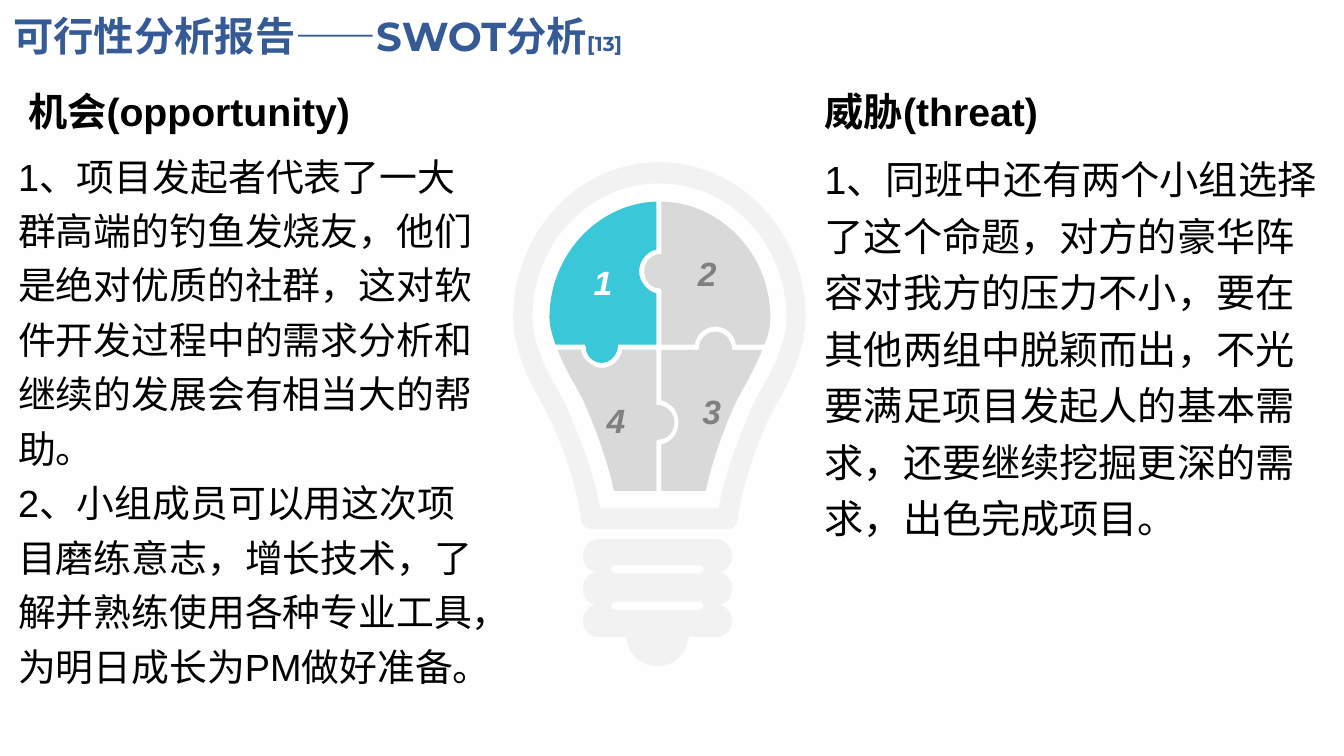
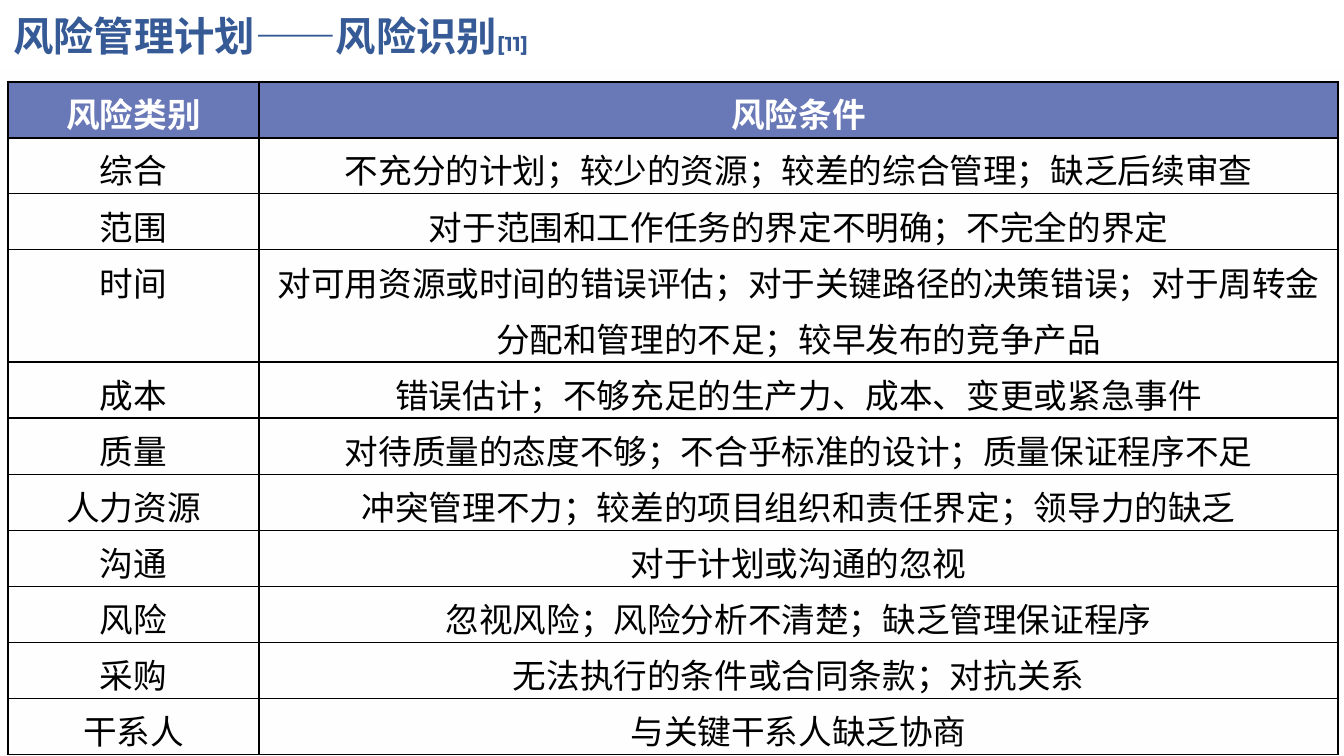
from lxml.etree import SubElement
from pptx import Presentation
from pptx.dml.color import RGBColor
from pptx.enum.lang import MSO_LANGUAGE_ID
from pptx.enum.shapes import MSO_SHAPE
from pptx.enum.text import MSO_ANCHOR, MSO_AUTO_SIZE, PP_ALIGN
from pptx.oxml.ns import qn
from pptx.util import Pt

PX = 9144
NAVY = RGBColor(0x36, 0x5A, 0x96)
HEADER = RGBColor(0x69, 0x78, 0xB7)
CYAN = RGBColor(0x3A, 0xC8, 0xD9)
BULB_GRAY = RGBColor(0xF2, 0xF2, 0xF2)
PIECE_GRAY = RGBColor(0xD9, 0xD9, 0xD9)
DIGIT_GRAY = RGBColor(0x80, 0x80, 0x80)
BLACK = RGBColor(0, 0, 0)
WHITE = RGBColor(0xFF, 0xFF, 0xFF)
CJK = "Noto Sans CJK SC"
COMPARISON, TITLE_ONLY = 4, 5


def write(p, text, size=24, font="Arial", color=BLACK, bold=False, italic=False):
    r = p.add_run()
    r.text = text
    r.font.size = Pt(size)
    r.font.bold = bold
    r.font.italic = italic
    r.font.color.rgb = color
    r.font.name = font
    r.font.language_id = MSO_LANGUAGE_ID.SIMPLIFIED_CHINESE
    SubElement(r._r.get_or_add_rPr(), qn("a:ea")).set("typeface", CJK)


def symmetric(start, segments):
    axis = start[0]
    ends = [start] + [segment[-2:] for segment in segments]
    x, y = ends[-1]
    mirrored = [] if x == axis else [(2 * axis - x, y)]
    for segment, (x, y) in zip(reversed(segments), reversed(ends[:-1])):
        back = (2 * axis - x, y)
        if len(segment) == 6:
            x1, y1, x2, y2 = segment[:4]
            back = (2 * axis - x2, y2, 2 * axis - x1, y1) + back
        mirrored.append(back)
    return start, segments + mirrored


class Deck:
    def __init__(self):
        self.prs = Presentation()
        self.prs.slide_width = 1333 * PX
        self.prs.slide_height = 750 * PX
        self.s = None

    def backdrop(self):
        sp = self.s.shapes.add_shape(MSO_SHAPE.RECTANGLE, 0, 69 * PX, 1333 * PX, 681 * PX)
        sp.shadow.inherit = False
        sp.line.fill.background()
        sp.fill.gradient()
        sp.fill.gradient_angle = 90
        for stop in sp.fill.gradient_stops:
            stop.color.rgb = WHITE
        last = sp._element.findall(f".//{qn('a:gs')}")[-1]
        SubElement(last.find(qn("a:srgbClr")), qn("a:alpha")).set("val", "84000")
        self.prs.slide_master.shapes._spTree.insert(2, sp._element)

    def place(self, sp, left, top, width, height, anchor):
        sp.left, sp.top = left * PX, top * PX
        sp.width, sp.height = width * PX, height * PX
        tf = sp.text_frame
        tf.word_wrap = True
        tf.auto_size = MSO_AUTO_SIZE.NONE
        tf.vertical_anchor = anchor
        return tf

    def slide(self, layout, title, reference):
        self.s = self.prs.slides.add_slide(self.prs.slide_layouts[layout])
        tf = self.place(self.s.shapes.title, 3, 10, 1150, 57, MSO_ANCHOR.MIDDLE)
        p = tf.paragraphs[0]
        p.alignment = PP_ALIGN.LEFT
        p.line_spacing = 0.9
        for text, size in ((title, 28.8), (reference, 14.4)):
            write(p, text, size=size, font="Montserrat", color=NAVY, bold=True)

    def body(self, idx, box, paragraphs, anchor=MSO_ANCHOR.TOP, **fmt):
        tf = self.place(self.s.placeholders[idx], *box, anchor)
        for i, text in enumerate(paragraphs):
            p = tf.add_paragraph() if i else tf.paragraphs[0]
            pPr = p._p.get_or_add_pPr()
            pPr.set("marL", "0")
            pPr.set("indent", "0")
            SubElement(pPr, qn("a:buNone"))
            p.alignment = PP_ALIGN.LEFT
            p.line_spacing = 1.2
            p.space_before = Pt(0)
            write(p, text, **fmt)

    def outline(self, contours, fill):
        x, y = contours[0][0]
        builder = self.s.shapes.build_freeform(x, y, scale=PX)
        for i, (start, segments) in enumerate(contours):
            if i:
                builder.move_to(*start)
            builder.add_line_segments([segment[-2:] for segment in segments], close=True)
        sp = builder.convert_to_shape()
        self.bend(sp, [segment for _, segments in contours for segment in segments])
        sp.shadow.inherit = False
        sp.fill.solid()
        sp.fill.fore_color.rgb = fill
        sp.line.fill.background()
        return sp

    def bend(self, sp, segments):
        left, top = sp.left // PX, sp.top // PX
        lines = sp._element.findall(f".//{qn('a:lnTo')}")
        for line, segment in zip(lines, segments):
            if len(segment) == 6:
                line.tag = qn("a:cubicBezTo")
                line.remove(line[0])
                for x, y in zip(segment[::2], segment[1::2]):
                    SubElement(line, qn("a:pt"), x=str(x - left), y=str(y - top))

    def piece(self, digit, start, segments, fill=PIECE_GRAY, color=DIGIT_GRAY):
        tf = self.outline([(start, segments)], fill).text_frame
        tf.vertical_anchor = MSO_ANCHOR.MIDDLE
        p = tf.paragraphs[0]
        p.alignment = PP_ALIGN.CENTER
        write(p, digit, color=color, bold=True, italic=True)

    def borders(self, cell, top, bottom):
        tcPr = cell._tc.get_or_add_tcPr()
        for side, width in (("L", 1.5), ("R", 1.5), ("T", top), ("B", bottom)):
            ln = SubElement(tcPr, qn(f"a:ln{side}"), w=str(Pt(width)))
            SubElement(SubElement(ln, qn("a:solidFill")), qn("a:srgbClr")).set("val", str(BLACK))

    def table(self, left, top, widths, heights, rows):
        shape = self.s.shapes.add_table(
            len(rows), len(widths), left * PX, top * PX,
            sum(widths) * PX, sum(heights) * PX)
        table = shape.table
        table.horz_banding = False
        for column, width in zip(table.columns, widths):
            column.width = width * PX
        for i, (height, row) in enumerate(zip(heights, rows)):
            table.rows[i].height = height * PX
            header = i == 0
            for j, text in enumerate(row):
                cell = table.cell(i, j)
                cell.margin_left = cell.margin_right = 7 * PX
                cell.margin_top = cell.margin_bottom = 0
                cell.vertical_anchor = MSO_ANCHOR.MIDDLE if header else MSO_ANCHOR.TOP
                self.borders(cell, 1.5 if i < 2 else 1,
                             1.5 if i in (0, len(rows) - 1) else 1)
                if header:
                    cell.fill.solid()
                    cell.fill.fore_color.rgb = HEADER
                else:
                    cell.fill.background()
                p = cell.text_frame.paragraphs[0]
                p.alignment = PP_ALIGN.CENTER
                p.line_spacing = 1.15
                p.space_after = Pt(10)
                write(p, text, font=CJK, color=WHITE if header else BLACK, bold=header)


def draw_bulb(deck):
    glass = symmetric((654, 161), [
        (735, 161, 799, 231, 799, 315), (799, 347, 782, 381, 769, 403),
        (766, 409, 763, 415, 761, 419), (734, 480, 732, 515, 732, 515),
        (731, 521, 727, 525, 722, 525)])
    hollow = symmetric((654, 182), [
        (724, 182, 780, 242, 780, 315), (780, 342, 764, 371, 752, 392),
        (748, 399, 745, 406, 743, 411), (723, 457, 715, 489, 713, 504)])
    deck.outline([glass, hollow], BULB_GRAY)

    socket = symmetric((652, 535), [
        (711, 535), (720, 535, 726, 543, 726, 552), (726, 560, 721, 566, 714, 568),
        (721, 569, 726, 576, 726, 584), (726, 592, 721, 599, 714, 600),
        (721, 602, 726, 608, 726, 616), (726, 625, 719, 632, 711, 632),
        (683, 632), (683, 634, 683, 636, 682, 637), (679, 651, 667, 661, 652, 661)])
    slots = [symmetric((652, y), [
        (694, y), (696, y, 698, y + 2, 698, y + 4),
        (698, y + 6, 696, y + 8, 694, y + 8)]) for y in (561, 597)]
    deck.outline([socket, *slots], BULB_GRAY)

    deck.piece("3", (656, 441), [
        (660, 440, 664, 438, 668, 434), (671, 430, 673, 425, 673, 419),
        (673, 414, 671, 408, 668, 404), (664, 401, 660, 398, 656, 397),
        (656, 347), (693, 347), (693, 345), (694, 336, 701, 329, 710, 329),
        (718, 329, 725, 336, 726, 345), (726, 347), (756, 347),
        (751, 360, 744, 373, 738, 384), (734, 391, 731, 397, 728, 403),
        (712, 440, 704, 468, 700, 487), (656, 487)])
    deck.piece("1", (651, 248), [
        (647, 248, 643, 251, 640, 254), (636, 258, 634, 264, 634, 269),
        (634, 275, 636, 280, 640, 284), (643, 288, 647, 290, 651, 291),
        (651, 342), (613, 342), (613, 344), (612, 353, 605, 360, 597, 360),
        (588, 360, 581, 353, 581, 344), (580, 342), (551, 342),
        (548, 333, 545, 324, 545, 315), (545, 253, 593, 202, 651, 200)],
        fill=CYAN, color=WHITE)
    deck.piece("2", (730, 342), [
        (729, 337, 727, 333, 724, 330), (720, 326, 715, 324, 710, 324),
        (704, 324, 699, 326, 695, 330), (692, 333, 690, 337, 689, 342),
        (656, 342), (656, 287), (654, 286), (645, 286, 639, 278, 639, 269),
        (639, 260, 645, 253, 654, 252), (656, 252), (656, 200),
        (715, 201, 764, 252, 764, 315), (764, 324, 762, 333, 758, 342)])
    deck.piece("4", (576, 347), [
        (577, 351, 579, 356, 583, 359), (587, 363, 592, 365, 597, 365),
        (602, 365, 607, 363, 611, 359), (614, 356, 617, 351, 617, 347),
        (651, 347), (651, 402), (654, 402), (662, 403, 669, 410, 669, 419),
        (669, 428, 662, 436, 654, 436), (651, 437), (651, 487), (609, 487),
        (605, 468, 597, 440, 581, 403), (579, 397, 575, 391, 571, 383),
        (565, 373, 558, 360, 553, 347)])


def swot_slide(deck):
    deck.slide(COMPARISON, "可行性分析报告——SWOT分析", "[13]")
    draw_bulb(deck)
    heading = dict(anchor=MSO_ANCHOR.BOTTOM, size=28, bold=True)
    deck.body(1, (18, 81, 424, 57), ["机会(opportunity)"], **heading)
    deck.body(2, (8, 138, 473, 589), [
        "1、项目发起者代表了一大群高端的钓鱼发烧友，他们是绝对优质的社群，这对软件开发过程中的需求分析和继续的发展会有相当大的帮助。",
        "2、小组成员可以用这次项目磨练意志，增长技术，了解并熟练使用各种专业工具，为明日成长为PM做好准备。",
    ], size=27)
    deck.body(3, (808, 68, 478, 70), ["威胁(threat)"], **heading)
    deck.body(4, (808, 140, 522, 571), [
        "1、同班中还有两个小组选择了这个命题，对方的豪华阵容对我方的压力不小，要在其他两组中脱颖而出，不光要满足项目发起人的基本需求，还要继续挖掘更深的需求，出色完成项目。",
    ], size=28)


def risk_slide(deck):
    deck.slide(TITLE_ONLY, "风险管理计划——风险识别", "[11]")
    rows = [
        ("风险类别", "风险条件"),
        ("综合", "不充分的计划；较少的资源；较差的综合管理；缺乏后续审查"),
        ("范围", "对于范围和工作任务的界定不明确；不完全的界定"),
        ("时间", "对可用资源或时间的错误评估；对于关键路径的决策错误；对于周转金分配和管理的不足；较早发布的竞争产品"),
        ("成本", "错误估计；不够充足的生产力、成本、变更或紧急事件"),
        ("质量", "对待质量的态度不够；不合乎标准的设计；质量保证程序不足"),
        ("人力资源", "冲突管理不力；较差的项目组织和责任界定；领导力的缺乏"),
        ("沟通", "对于计划或沟通的忽视"),
        ("风险", "忽视风险；风险分析不清楚；缺乏管理保证程序"),
        ("采购", "无法执行的条件或合同条款；对抗关系"),
        ("干系人", "与关键干系人缺乏协商"),
    ]
    heights = [109 if category == "时间" else 55 for category, _ in rows]
    deck.table(8, 81, (249, 1070), heights, rows)


def main():
    deck = Deck()
    swot_slide(deck)
    deck.backdrop()
    risk_slide(deck)
    deck.prs.save("out.pptx")


if __name__ == "__main__":
    main()
